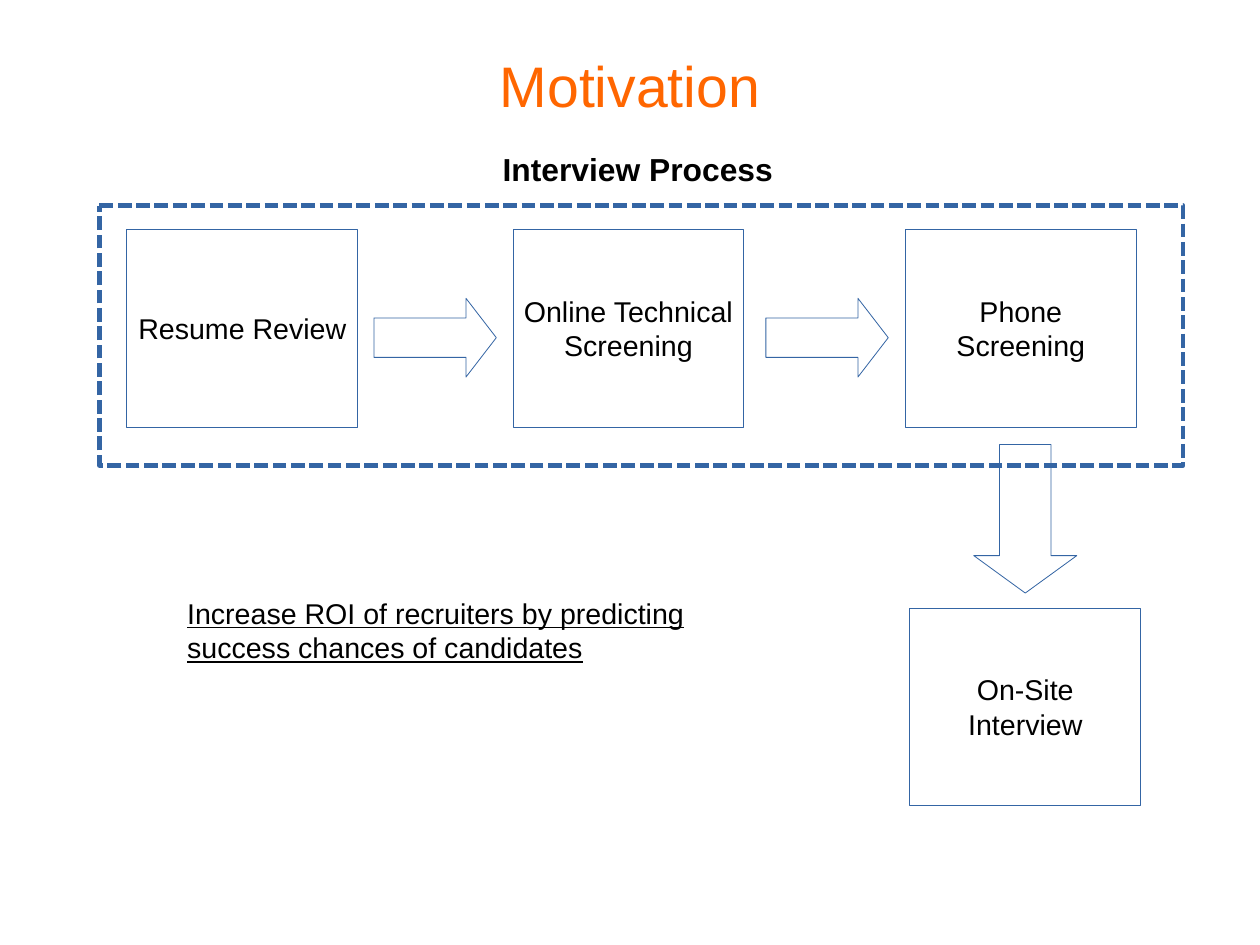
from pptx import Presentation
from pptx.dml.color import RGBColor
from pptx.enum.dml import MSO_LINE
from pptx.enum.shapes import MSO_SHAPE as Preset
from pptx.enum.text import MSO_ANCHOR as Anchor, PP_ALIGN as Align
from pptx.util import Cm, Pt

BLUE, ORANGE, BLACK = "3465A4", "FF6600", "000000"
STEP_SIZE = (5.13, 4.39)
BODY = {"size": Pt(18)}


def color(value):
    return RGBColor.from_string(value)


def lengths(box):
    return [Cm(value) for value in box]


def write(shape, text, font_format, text_color=BLACK, align=Align.LEFT,
          anchor=Anchor.TOP, insets=(0.25, 0.13)):
    """Fill a shape with one formatted paragraph."""
    frame = shape.text_frame
    side, edge = lengths(insets)
    frame_format = {"word_wrap": True, "vertical_anchor": anchor,
                    "margin_left": side, "margin_right": side,
                    "margin_top": edge, "margin_bottom": edge}
    for name, value in frame_format.items():
        setattr(frame, name, value)
    paragraph = frame.paragraphs[0]
    paragraph.alignment = align
    run = paragraph.add_run()
    run.text = text
    for name, value in {"name": "Arial", **font_format}.items():
        setattr(run.font, name, value)
    run.font.color.rgb = color(text_color)


def add_outline(slide, preset, box, width=0.5):
    """Draw an unfilled blue shape."""
    shape = slide.shapes.add_shape(preset, *lengths(box))
    shape.shadow.inherit = False
    shape.fill.background()
    shape.line.color.rgb = color(BLUE)
    shape.line.width = Pt(width)
    return shape


def add_title(slide, box):
    title = slide.shapes.title
    for name, value in zip(("left", "top", "width", "height"), lengths(box)):
        setattr(title, name, value)
    write(title, "Motivation", {"size": Pt(36)}, ORANGE,
          Align.CENTER, Anchor.MIDDLE, (0, 0))


def add_label(slide, box, text, font_format):
    write(slide.shapes.add_textbox(*lengths(box)), text, font_format)


def add_step(slide, left, top, text):
    step = add_outline(slide, Preset.FLOWCHART_PROCESS, (left, top, *STEP_SIZE))
    write(step, text, BODY, align=Align.CENTER, anchor=Anchor.MIDDLE,
          insets=(0.2, 0.08))


def add_arrow(slide, preset, box, head):
    arrow = add_outline(slide, preset, box)
    arrow.adjustments[0] = 0.5
    arrow.adjustments[1] = head


def add_process(slide, box):
    """Place the interview steps and arrows relative to the dashed frame."""
    left, top, width, height = box

    # Screening steps
    steps = [(0.61, "Resume Review"), (9.19, "Online Technical Screening"),
             (17.91, "Phone Screening")]
    for offset, text in steps:
        add_step(slide, left + offset, top + 0.53, text)
    for offset in (6.1, 14.81):
        add_arrow(slide, Preset.RIGHT_ARROW,
                  (left + offset, top + 2.06, 2.72, 1.75), 0.385)

    # Final step below the frame
    add_arrow(slide, Preset.DOWN_ARROW,
              (left + 19.43, top + 5.31, 2.29, 3.3), 0.363)
    add_step(slide, left + 18.01, top + 8.94, "On-Site Interview")

    # Dashed frame
    frame = add_outline(slide, Preset.FLOWCHART_PROCESS, box, 2.89)
    frame.line.dash_style = MSO_LINE.SQUARE_DOT


def main():
    presentation = Presentation()
    presentation.slide_width, presentation.slide_height = Cm(28), Cm(21)
    slide = presentation.slides.add_slide(presentation.slide_layouts[5])
    add_title(slide, (1.4, 0.84, 25.2, 2.06))
    add_label(slide, (10.92, 3.2, 7.92, 1.83), "Interview Process",
              {"size": Pt(20), "bold": True})
    add_process(slide, (2.21, 4.57, 24.08, 5.77))
    add_label(slide, (3.91, 13.11, 13.26, 1.68),
              "Increase ROI of recruiters by predicting success chances "
              "of candidates", {**BODY, "underline": True})
    presentation.save("out.pptx")


if __name__ == "__main__":
    main()
